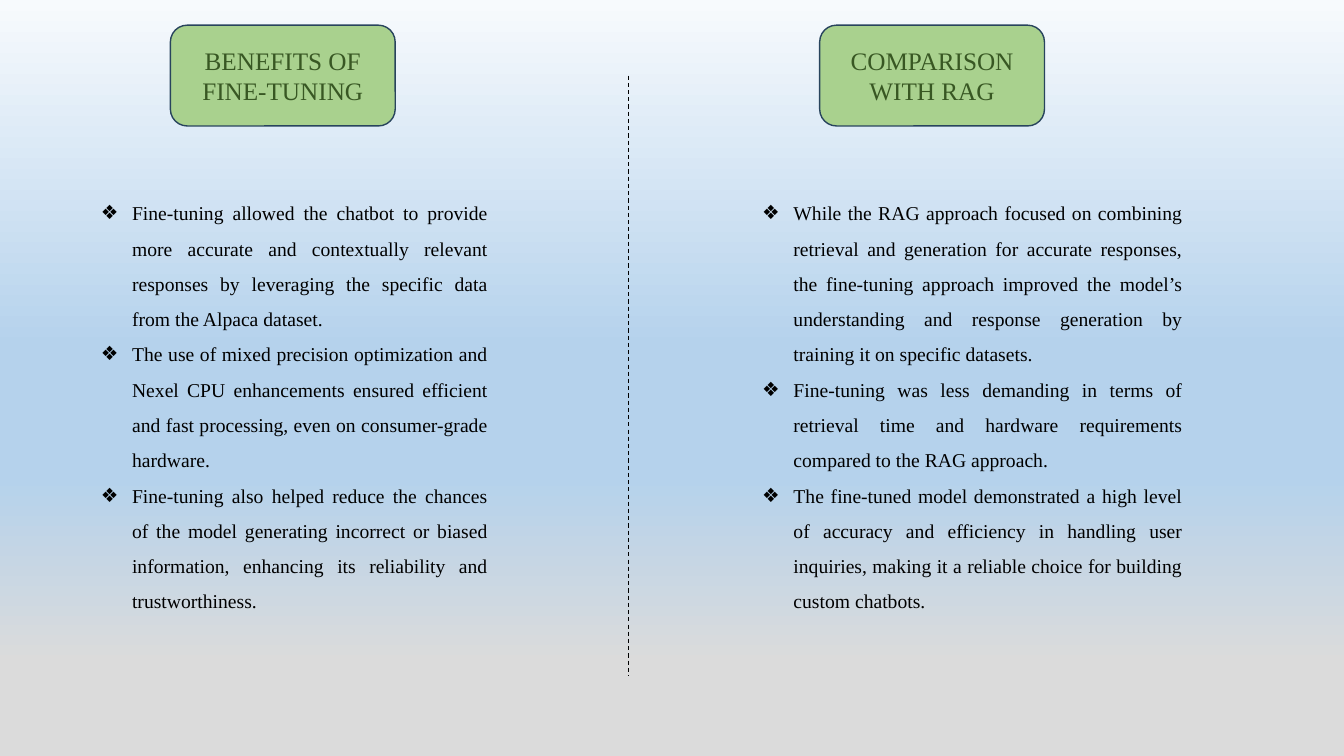
import lxml.etree
import pptx
import pptx.dml.color
import pptx.enum.dml
import pptx.enum.shapes
import pptx.enum.text
import pptx.oxml.ns
import pptx.util
from pptx.dml.color import RGBColor
from pptx.util import Inches

BLACK = RGBColor(0x00, 0x00, 0x00)
BADGE_FILL = RGBColor(0xA9, 0xD1, 0x8E)
BADGE_LINE = RGBColor(0x28, 0x44, 0x5D)
BADGE_TEXT = RGBColor(0x38, 0x57, 0x23)
BACKGROUND_STOPS = [
    (0, RGBColor(0xF7, 0xFA, 0xFD)),
    (46, RGBColor(0xB5, 0xD2, 0xEC)),
    (63, RGBColor(0xB5, 0xD2, 0xEC)),
    (88, RGBColor(0xDB, 0xDB, 0xDB)),
]
FONT = "Times New Roman"
BULLET_INDENT = Inches(0.31)

BENEFITS = [
    "Fine-tuning allowed the chatbot to provide more accurate and contextually relevant "
    "responses by leveraging the specific data from the Alpaca dataset.",
    "The use of mixed precision optimization and Nexel CPU enhancements ensured efficient "
    "and fast processing, even on consumer-grade hardware.",
    "Fine-tuning also helped reduce the chances of the model generating incorrect or biased "
    "information, enhancing its reliability and trustworthiness.",
]
COMPARISON = [
    "While the RAG approach focused on combining retrieval and generation for accurate "
    "responses, the fine-tuning approach improved the model’s understanding and response "
    "generation by training it on specific datasets.",
    "Fine-tuning was less demanding in terms of retrieval time and hardware requirements "
    "compared to the RAG approach.",
    "The fine-tuned model demonstrated a high level of accuracy and efficiency in handling "
    "user inquiries, making it a reliable choice for building custom chatbots.",
]


def add_child(parent, tag, **attributes):
    child = lxml.etree.SubElement(parent, pptx.oxml.ns.qn(tag))
    for name, value in attributes.items():
        child.set(name, str(value))
    return child


def add_run(paragraph, text, size, color):
    run = paragraph.add_run()
    run.text = text
    run.font.name = FONT
    run.font.size = pptx.util.Pt(size)
    run.font.color.rgb = color


def paint_background(slide):
    fill = slide.background.fill
    fill.gradient()
    fill.gradient_angle = 270
    stops = slide.element.find(".//" + pptx.oxml.ns.qn("a:gsLst"))
    for stop in list(stops):
        stops.remove(stop)
    for percent, color in BACKGROUND_STOPS:
        stop = add_child(stops, "a:gs", pos=percent * 1000)
        add_child(stop, "a:srgbClr", val=color)


def add_badge(slide, text, left, top, width, height):
    badge = slide.shapes.add_shape(
        pptx.enum.shapes.MSO_SHAPE.ROUNDED_RECTANGLE, left, top, width, height)
    badge.shadow.inherit = False
    badge.fill.solid()
    badge.fill.fore_color.rgb = BADGE_FILL
    badge.line.color.rgb = BADGE_LINE
    badge.line.width = pptx.util.Pt(1)
    badge.text_frame.word_wrap = True
    badge.text_frame.vertical_anchor = pptx.enum.text.MSO_ANCHOR.MIDDLE
    paragraph = badge.text_frame.paragraphs[0]
    paragraph.alignment = pptx.enum.text.PP_ALIGN.CENTER
    add_run(paragraph, text, 18, BADGE_TEXT)


def fill_list(placeholder, items, left, top, width, height):
    placeholder.left, placeholder.top = left, top
    placeholder.width, placeholder.height = width, height
    frame = placeholder.text_frame
    frame.word_wrap = True
    frame.auto_size = pptx.enum.text.MSO_AUTO_SIZE.SHAPE_TO_FIT_TEXT
    for index, item in enumerate(items):
        paragraph = frame.add_paragraph() if index else frame.paragraphs[0]
        properties = paragraph._p.get_or_add_pPr()
        properties.set("marL", str(BULLET_INDENT))
        properties.set("indent", str(-BULLET_INDENT))
        add_child(properties, "a:buChar", char="❖")
        paragraph.alignment = pptx.enum.text.PP_ALIGN.JUSTIFY
        paragraph.line_spacing = 1.5
        paragraph.space_before = pptx.util.Pt(0)
        add_run(paragraph, item, 14, BLACK)


def add_column(slide, placeholder, heading, items, left, width, badge_offset):
    """Place a heading badge and its bulleted list in one column."""
    add_badge(slide, heading, left + badge_offset, Inches(0.25), Inches(2.23), Inches(1))
    fill_list(placeholder, items, left, Inches(1.83), width, Inches(4.3))


def add_divider(slide, x, top, bottom):
    divider = slide.shapes.add_connector(
        pptx.enum.shapes.MSO_CONNECTOR.STRAIGHT, x, top, x, bottom)
    divider.line.color.rgb = BLACK
    divider.line.width = pptx.util.Pt(0.75)
    divider.line.dash_style = pptx.enum.dml.MSO_LINE.DASH
    add_child(divider._element.spPr, "a:effectLst")


def build_two_column_slide(presentation):
    slide = presentation.slides.add_slide(presentation.slide_layouts[3])
    paint_background(slide)
    title = slide.shapes.title
    title._element.getparent().remove(title._element)
    add_column(slide, slide.placeholders[1], "BENEFITS OF FINE-TUNING", BENEFITS,
               Inches(0.9), Inches(4.04), Inches(0.79))
    add_column(slide, slide.placeholders[2], "COMPARISON WITH RAG", COMPARISON,
               Inches(7.46), Inches(4.37), Inches(0.67))
    add_divider(slide, Inches(6.23), Inches(0.75), Inches(6.7))


def main():
    presentation = pptx.Presentation()
    presentation.slide_width = Inches(13.33)
    presentation.slide_height = Inches(7.5)
    build_two_column_slide(presentation)
    presentation.save("out.pptx")


if __name__ == "__main__":
    main()
